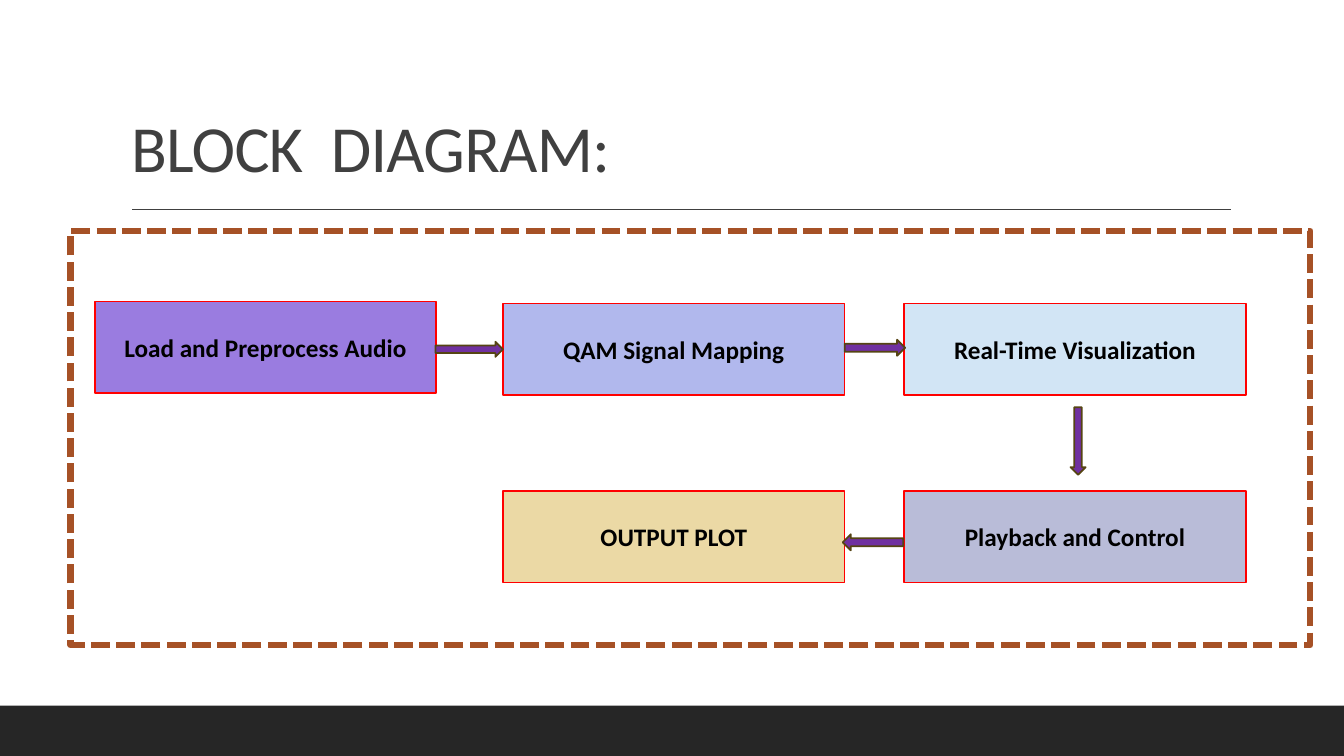
from dataclasses import dataclass
from pptx import Presentation
from pptx.dml.color import RGBColor as RGB
from pptx.enum.dml import MSO_LINE as Dash
from pptx.enum.shapes import MSO_CONNECTOR as Conn, MSO_SHAPE as Shape
from pptx.enum.text import MSO_ANCHOR as Anchor, MSO_AUTO_SIZE as Auto, PP_ALIGN as Align
from pptx.util import Inches, Pt
from lxml.etree import SubElement
from pptx.oxml.ns import qn


@dataclass(frozen=True)
class Theme:
    font: str = "Calibri"
    head: float = 47
    body: float = 18
    thin: float = 1
    edge: float = 1.25
    thick: float = 4.5
    dark: str = "404040"
    foot: str = "262626"
    black: str = "000000"
    red: str = "FF0000"
    rust: str = "A65126"
    plum: str = "7030A0"
    brown: str = "554413"


def write(frame, text, font, size, color, bold=False, align=Align.LEFT,
          anchor=Anchor.MIDDLE, lead=1.0, track=0):
    frame.word_wrap = True
    frame.auto_size = Auto.NONE
    frame.vertical_anchor = anchor
    para = frame.paragraphs[0]
    para.alignment = align
    para.line_spacing = lead
    run = para.add_run()
    run.text = text
    run.font.name = font
    run.font.size = Pt(size)
    run.font.bold = bold
    run.font.color.rgb = RGB.from_string(color)
    if track:
        run.font._element.set("spc", str(int(track * 100)))


class Board:
    cols, rows = 40, 30

    def __init__(self, deck, theme):
        self.theme = theme
        self.wide = deck.slide_width / self.cols
        self.high = deck.slide_height / self.rows
        self.slide = deck.slides.add_slide(deck.slide_layouts[5])

    def place(self, x, y, w, h):
        return (round(x * self.wide), round(y * self.high),
                round(w * self.wide), round(h * self.high))

    def shape(self, kind, area, fill=None, line=None, width=0, dash=None):
        item = self.slide.shapes.add_shape(kind, *self.place(*area))
        item.shadow.inherit = False
        if fill:
            item.fill.solid()
            item.fill.fore_color.rgb = RGB.from_string(fill)
        else:
            item.fill.background()
        if line:
            item.line.color.rgb = RGB.from_string(line)
            item.line.width = Pt(width)
            if dash:
                item.line.dash_style = dash
        else:
            item.line.fill.background()
        return item

    def title(self, text, area):
        item = self.slide.shapes.title
        item.left, item.top, item.width, item.height = self.place(*area)
        write(item.text_frame, text, self.theme.font, self.theme.head,
              self.theme.dark, anchor=Anchor.BOTTOM, lead=0.9, track=-0.5)

    def rule(self, x, y, w):
        left, top, width, _ = self.place(x, y, w, 0)
        item = self.slide.shapes.add_connector(
            Conn.STRAIGHT, left, top, left + width, top)
        item.line.color.rgb = RGB.from_string(self.theme.dark)
        item.line.width = Pt(self.theme.thin)
        SubElement(item._element.spPr, qn("a:effectLst"))

    def block(self, text, area, fill):
        item = self.shape(Shape.RECTANGLE, area, fill, self.theme.red, self.theme.edge)
        write(item.text_frame, text, self.theme.font, self.theme.body,
              self.theme.black, bold=True, align=Align.CENTER)

    def arrow(self, area, turn=0):
        item = self.shape(Shape.RIGHT_ARROW, area, self.theme.plum,
                          self.theme.brown, self.theme.edge)
        item.rotation = turn


def main():
    deck = Presentation()
    deck.slide_width, deck.slide_height = Inches(13.33), Inches(7.5)
    theme = Theme()
    board = Board(deck, theme)

    board.shape(Shape.RECTANGLE, (0, 28, 40, 2), theme.foot)
    board.rule(3.93, 8.32, 32.7)
    board.title("BLOCK  DIAGRAM:", (3.6, 1.24, 33, 6.36))

    left, mid, right = 2.82, 14.97, 26.91
    upper, lower = 12.04, 19.48
    steps = (
        ("Load and Preprocess Audio", left, upper - 0.08, "9A7CE0"),
        ("QAM Signal Mapping", mid, upper, "B1B8ED"),
        ("Real-Time Visualization", right, upper, "D2E5F5"),
        ("Playback and Control", right, lower, "B9BCD8"),
        ("OUTPUT PLOT", mid, lower, "EBD9A5"),
    )
    for text, x, y, fill in steps:
        board.block(text, (x, y, 10.17, 3.64), fill)

    board.shape(Shape.RECTANGLE, (2.1, 9.16, 36.9, 16.44), line=theme.rust,
                width=theme.thick, dash=Dash.SQUARE_DOT)

    long, short = (2.01, 0.6), (1.8, 0.64)
    flow = (
        (12.96, 13.56, long, 0),
        (25.14, 13.48, short, 0),
        (31.08, 17.2, long, 90),
        (25.08, 21.2, short, 180),
    )
    for x, y, size, turn in flow:
        board.arrow((x, y, *size), turn)

    deck.save("out.pptx")


if __name__ == "__main__":
    main()
